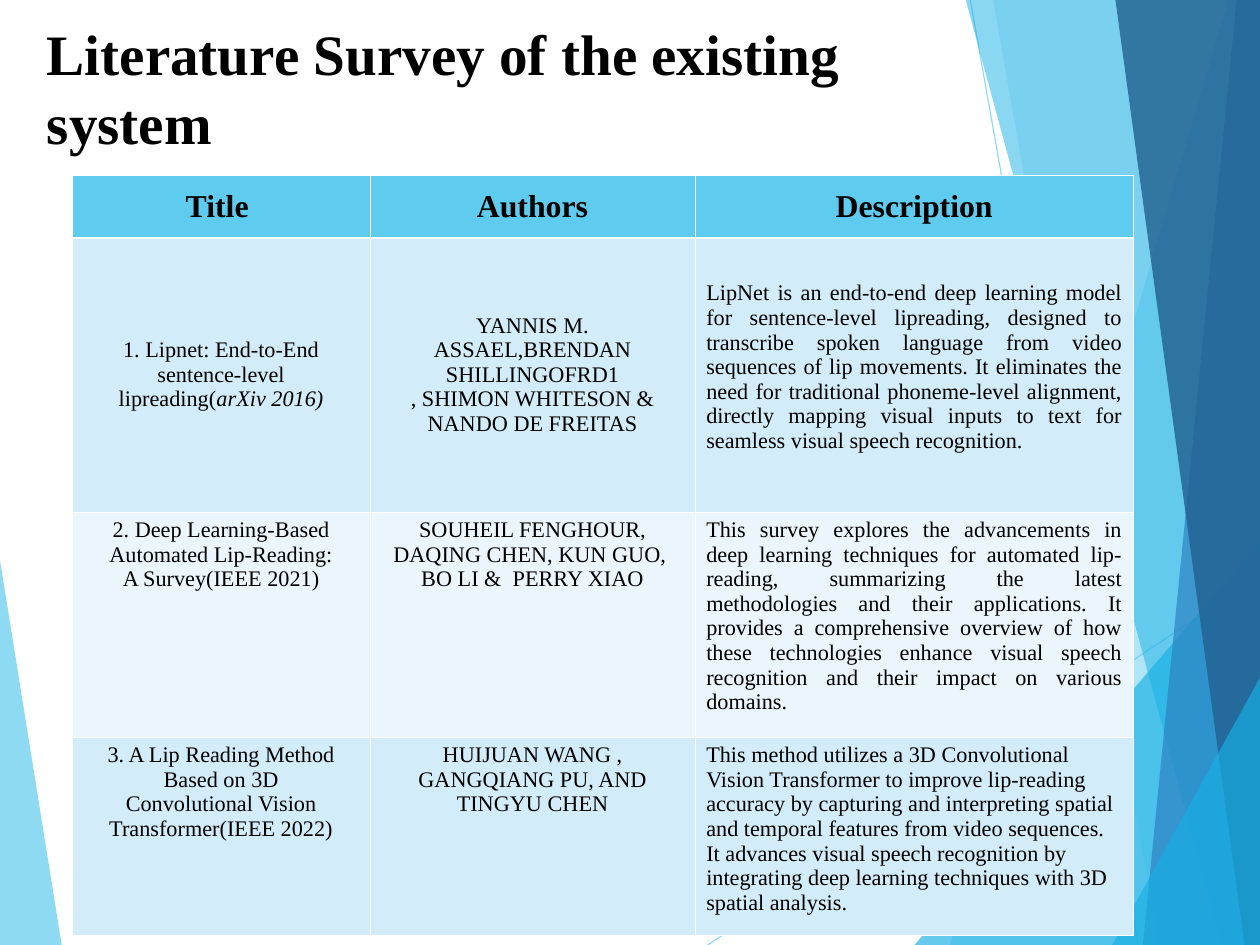
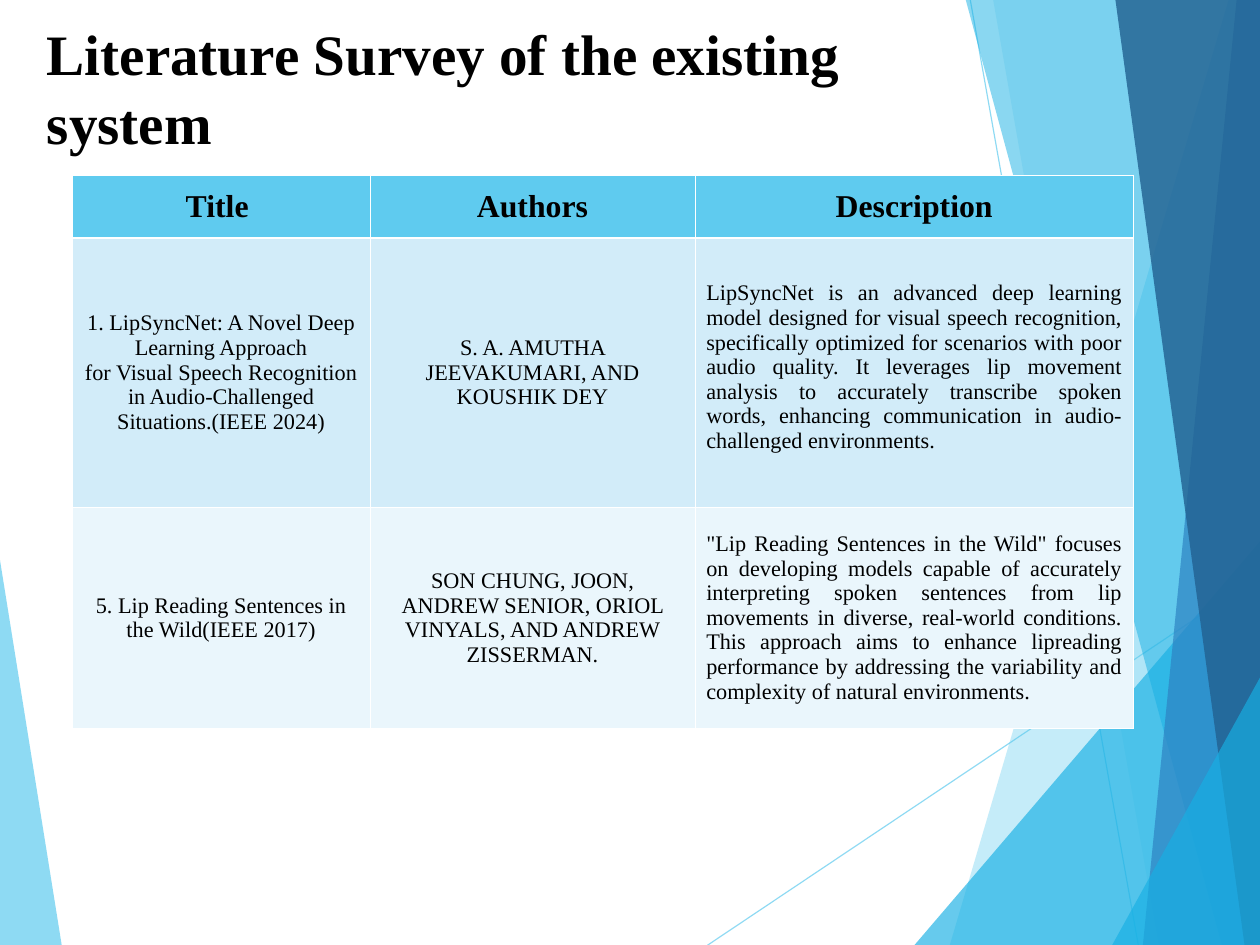
from pptx import Presentation
from pptx.dml.color import RGBColor
from pptx.enum.shapes import MSO_CONNECTOR
from pptx.enum.text import MSO_ANCHOR, PP_ALIGN
from pptx.oxml.ns import qn
from pptx.oxml.xmlchemy import OxmlElement
from pptx.util import Emu, Inches, Pt

SIZE = Emu(10080625), Emu(7559675)
W, H = 11.03, 8.27  # reach of the backdrop
FONT = "Times New Roman"
BLACK = RGBColor(0, 0, 0)
WHITE = RGBColor(255, 255, 255)
SKY = RGBColor(0x5F, 0xCB, 0xEF)
CYAN = RGBColor(0x17, 0xB0, 0xE4)
BLUE = RGBColor(0x2E, 0x83, 0xC3)
NAVY = RGBColor(0x23, 0x62, 0x92)
BANDS = RGBColor(0xD2, 0xEC, 0xF9), RGBColor(0xEA, 0xF6, 0xFC)
MID, TOP = MSO_ANCHOR.MIDDLE, MSO_ANCHOR.TOP
MIDDLE, JUST, LEFT = PP_ALIGN.CENTER, PP_ALIGN.JUSTIFY, PP_ALIGN.LEFT

# Colour, opacity in percent, corners
WEDGES = [
    (SKY, 70, [(-0.01, 4.84), (0.54, H), (-0.01, H)]),
    (SKY, 36, [(10.75, 0), (8.31, H), (W, H), (W, 0)]),
    (SKY, 20, [(8.69, 0), (10.14, H), (W, H), (W, 0)]),
    (CYAN, 66, [(8, H), (W, 4.73), (W, H)]),
    (CYAN, 50, [(8.45, 0), (10.69, H), (W, H), (W, 0)]),
    (BLUE, 70, [(10.82, 0), (10, H), (W, H), (W, 0)]),
    (NAVY, 82, [(9.76, 0), (10.89, H), (W, H), (W, 0)]),
    (CYAN, 66, [(9.73, H), (11.04, 5.9), (11.04, H)]),
]
RAYS = [(6.19, H, W, 5.03), (8.49, 0, 9.96, H)]

TITLE = "Literature Survey of the existing system"
HEADS = ["Title ", "Authors", "Description"]
COLS = [2.61, 2.84, 3.84]
HEAD_H = 0.55
LEAD = 0.38  # top inset of the first description

# Height, anchor, description anchor, description alignment, cells.
# Text between asterisks is italic.
SURVEYS = [
    [
        (2.4, MID, TOP, JUST, [
            "1. Lipnet: End-to-End sentence-level lipreading(*arXiv 2016)*",
            "YANNIS M. ASSAEL,BRENDAN SHILLINGOFRD1\n"
            ", SHIMON WHITESON & NANDO DE FREITAS",
            "LipNet is an end-to-end deep learning model for sentence-level "
            "lipreading, designed to transcribe spoken language from video "
            "sequences of lip movements. It eliminates the need for "
            "traditional phoneme-level alignment, directly mapping visual "
            "inputs to text for seamless visual speech recognition."]),
        (1.97, TOP, TOP, JUST, [
            "2. Deep Learning-Based Automated Lip-Reading:\n"
            "A Survey(IEEE 2021)",
            "SOUHEIL FENGHOUR, DAQING CHEN, KUN GUO,  BO LI &  PERRY XIAO",
            "This survey explores the advancements in deep learning "
            "techniques for automated lip-reading, summarizing the latest "
            "methodologies and their applications. It provides a "
            "comprehensive overview of how these technologies enhance visual "
            "speech recognition and their impact on various domains."]),
        (1.73, TOP, TOP, LEFT, [
            "3. A Lip Reading Method Based on 3D\n"
            "Convolutional Vision Transformer(IEEE 2022)",
            "HUIJUAN WANG , GANGQIANG PU, AND TINGYU CHEN",
            "This method utilizes a 3D Convolutional Vision Transformer to "
            "improve lip-reading accuracy by capturing and interpreting "
            "spatial and temporal features from video sequences. It advances "
            "visual speech recognition by integrating deep learning "
            "techniques with 3D spatial analysis."]),
    ],
    [
        (2.36, MID, TOP, JUST, [
            "1. LipSyncNet: A Novel Deep Learning Approach\n"
            "for Visual Speech Recognition in Audio-Challenged "
            "Situations.(IEEE 2024)",
            "S. A. AMUTHA JEEVAKUMARI, AND KOUSHIK DEY",
            "LipSyncNet is an advanced deep learning model designed for "
            "visual speech recognition, specifically optimized for scenarios "
            "with poor audio quality. It leverages lip movement analysis to "
            "accurately transcribe spoken words, enhancing communication in "
            "audio-challenged environments."]),
        (1.93, MID, MID, JUST, [
            "5. Lip Reading Sentences in the Wild(IEEE 2017)",
            "SON CHUNG, JOON, ANDREW SENIOR, ORIOL VINYALS, AND ANDREW "
            "ZISSERMAN.",
            "\"Lip Reading Sentences in the Wild\" focuses on developing "
            "models capable of accurately interpreting spoken sentences from "
            "lip movements in diverse, real-world conditions. This approach "
            "aims to enhance lipreading performance by addressing the "
            "variability and complexity of natural environments."]),
    ],
]


def fade(shape, share):
    """Set the opacity, in percent, of a shape's own colours."""
    for color in shape.element.spPr.iter(qn("a:srgbClr")):
        alpha = OxmlElement("a:alpha")
        alpha.set("val", str(share * 1000))
        color.append(alpha)


def add_wedge(slide, color, share, corners):
    pts = [(Inches(x), Inches(y)) for x, y in corners]
    pen = slide.shapes.build_freeform(*pts[0])
    pen.add_line_segments(pts[1:], close=True)
    wedge = pen.convert_to_shape()
    wedge.shadow.inherit = False
    wedge.fill.solid()
    wedge.fill.fore_color.rgb = color
    wedge.line.fill.background()
    fade(wedge, share)
    return wedge


def add_ray(slide, ends):
    ray = slide.shapes.add_connector(MSO_CONNECTOR.STRAIGHT, *map(Inches, ends))
    ray.line.color.rgb = SKY
    ray.line.width = Pt(0.75)
    fade(ray, 70)
    ray.element.spPr.append(OxmlElement("a:effectLst"))
    return ray


def dress(layout, slide):
    """Draw the backdrop on a slide, then move it behind the layout's title."""
    wedges = [add_wedge(slide, *wedge) for wedge in WEDGES]
    rays = [add_ray(slide, ends) for ends in RAYS]
    front = layout.placeholders[0].element
    for part in wedges[:1] + rays + wedges[1:]:
        front.addprevious(part.element)


def style(font, size, bold):
    font.name, font.size, font.bold = FONT, Pt(size), bold
    font.color.rgb = BLACK


def set_title(slide):
    title = slide.shapes.title
    title.left, title.top = Inches(0.31), Inches(0.11)
    title.width, title.height = Inches(8.15), Inches(1.59)
    frame = title.text_frame
    frame.text = TITLE
    frame.word_wrap = True
    frame.vertical_anchor = TOP
    para = frame.paragraphs[0]
    para.alignment = LEFT
    style(para.runs[0].font, 36, True)


def edge(cell, heavy):
    """Draw white borders; heavy names the side with the thick line."""
    props = cell._tc.get_or_add_tcPr()
    for spot, side in enumerate("LRTB"):
        line = OxmlElement("a:ln" + side)
        line.set("w", str(Pt(1.47 if side == heavy else 0.45)))
        fill = OxmlElement("a:solidFill")
        color = OxmlElement("a:srgbClr")
        color.set("val", str(WHITE))
        fill.append(color)
        line.append(fill)
        props.insert(spot, line)


def fill_cell(cell, words, color, align, anchor, size=14, bold=False, heavy=""):
    cell.fill.solid()
    cell.fill.fore_color.rgb = color
    edge(cell, heavy)
    cell.vertical_anchor = anchor
    frame = cell.text_frame
    for spot, line in enumerate(words.split("\n")):
        para = frame.add_paragraph() if spot else frame.paragraphs[0]
        para.alignment = align
        for turn, piece in enumerate(line.split("*")):
            if piece:
                run = para.add_run()
                run.text = piece
                style(run.font, size, bold)
                run.font.italic = turn % 2 == 1


def add_survey(slide, rows):
    heights = [HEAD_H] + [row[0] for row in rows]
    box = map(Inches, (0.63, 1.53, sum(COLS), sum(heights)))
    table = slide.shapes.add_table(len(heights), len(COLS), *box).table
    for col, width in zip(table.columns, COLS):
        col.width = Inches(width)
    for row, height in zip(table.rows, heights):
        row.height = Inches(height)
    for col, head in enumerate(HEADS):
        fill_cell(table.cell(0, col), head, SKY, MIDDLE, MID, 20, True, "B")
    for num, (_, anchor, low, align, cells) in enumerate(rows, 1):
        for col, words in enumerate(cells):
            last = col == len(COLS) - 1
            fill_cell(table.cell(num, col), words, BANDS[(num - 1) % 2],
                      align if last else MIDDLE, low if last else anchor,
                      heavy="T" if num == 1 else "")
    table.cell(1, len(COLS) - 1).margin_top = Inches(LEAD)


def main():
    deck = Presentation()
    deck.slide_width, deck.slide_height = SIZE
    layout = deck.slide_layouts[5]
    for num, rows in enumerate(SURVEYS):
        slide = deck.slides.add_slide(layout)
        if num == 0:
            dress(layout, slide)
        set_title(slide)
        add_survey(slide, rows)
    deck.save("out.pptx")


if __name__ == "__main__":
    main()
